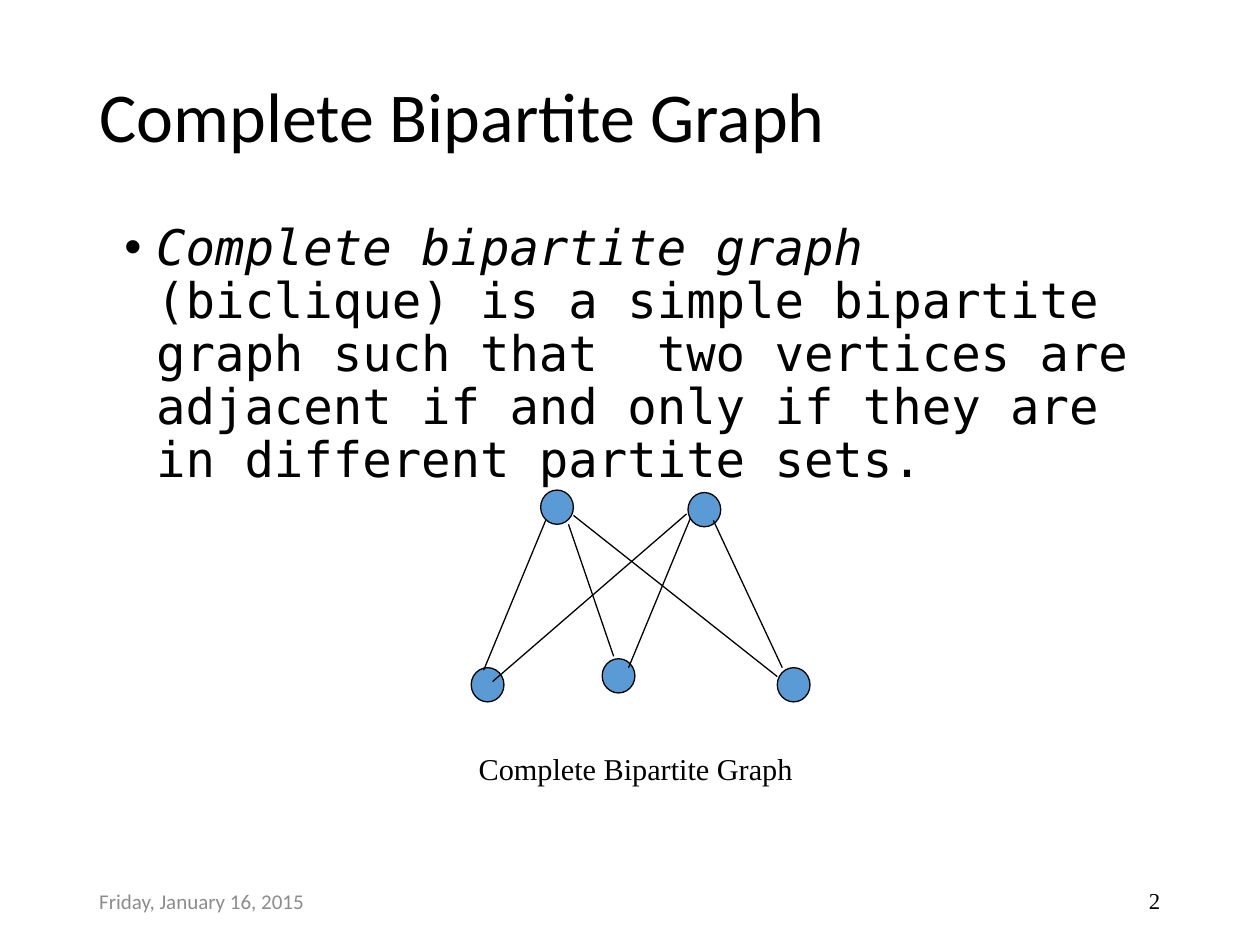
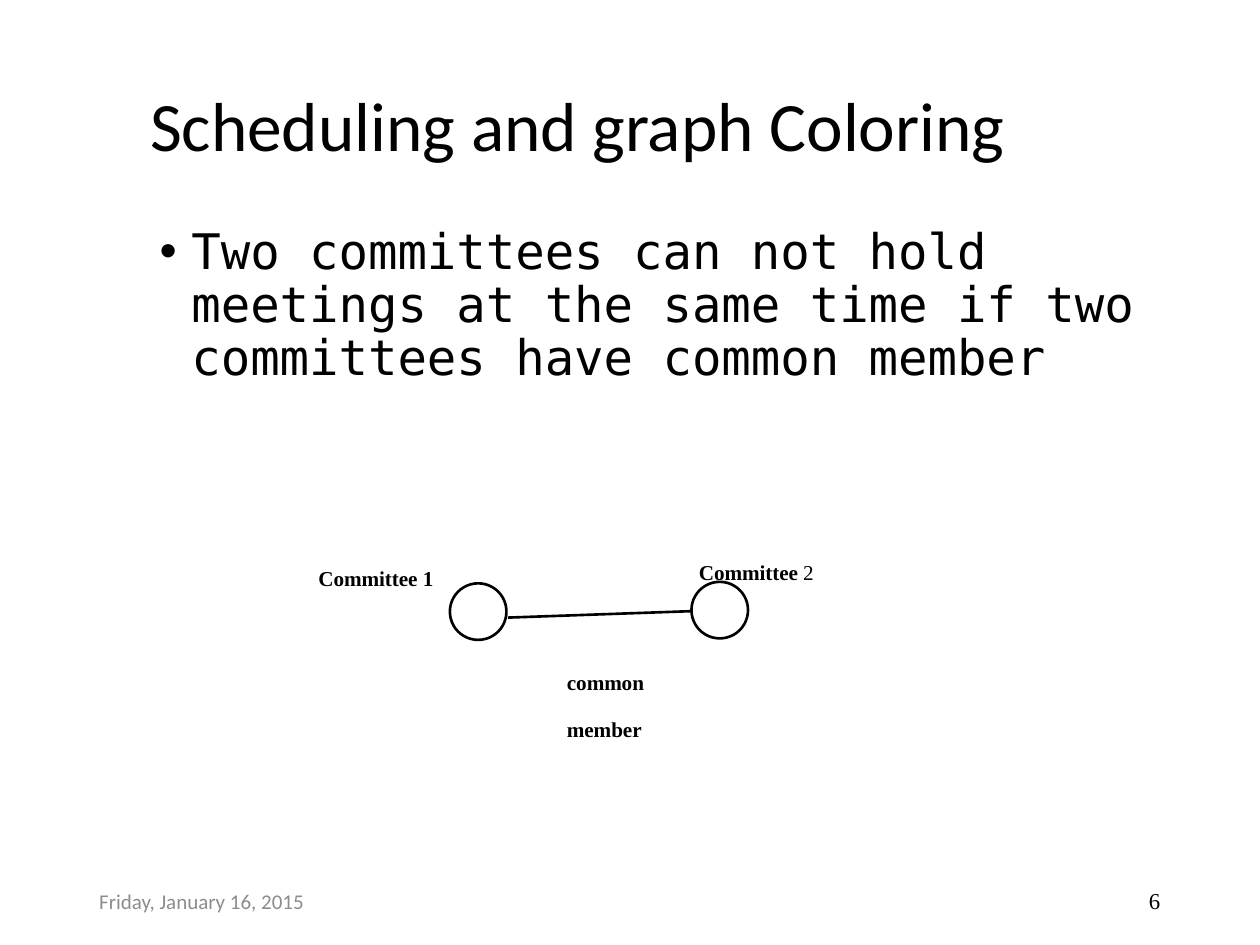
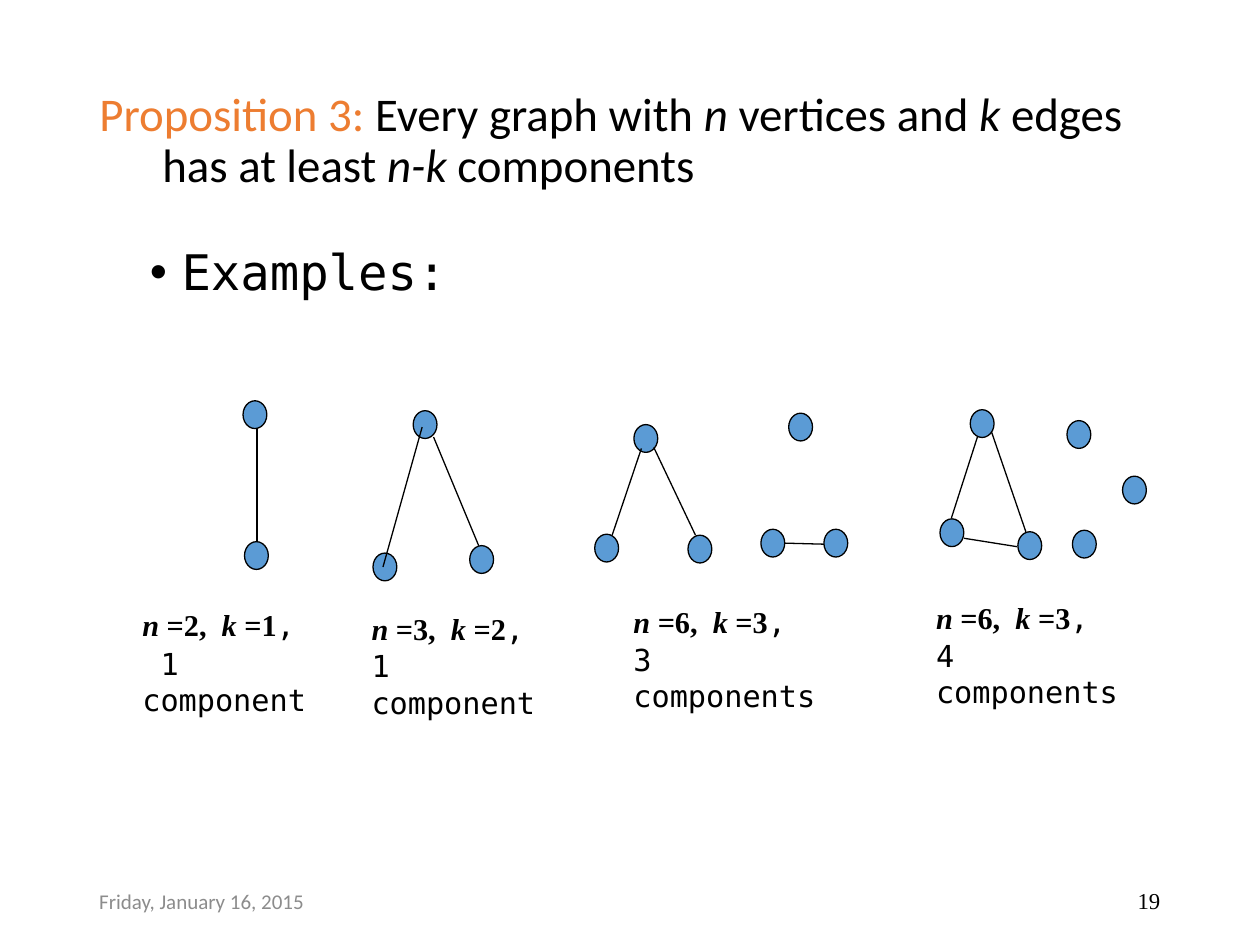
from pptx import Presentation
from pptx import util as u
from pptx.dml.color import RGBColor
from pptx.enum import shapes, text
from pptx.oxml import ns
from lxml import etree

# Shared look
BLACK = RGBColor(0x00, 0x00, 0x00)
GREY = RGBColor(0x8C, 0x8C, 0x8C)
BLUE = RGBColor(0x5B, 0x9B, 0xD5)
ORANGE = RGBColor(0xED, 0x7D, 0x31)
SANS, MONO, SERIF = "Calibri", "DejaVu Sans Mono", "Times New Roman"
DATE = "Friday, January 16, 2015"
ITALIC = {"italic": True}

TITLE = {"name": SANS, "size": 40}
BODY = {"name": MONO, "size": 28}
CAPTION = {"name": SERIF, "size": 17.3}
LABEL = {"name": SERIF, "size": 20.8, "bold": True, "baseline": -16}
COUNT = {"name": MONO, "size": 17.3}
FORMULA = {"name": SERIF, "size": 17.3, "bold": True}

# Content: boxes are (left, top, width, height), all places in inches.
# A run is (text, format changes); node places are top left corners.
SLIDES = [
    {
        "number": "2",
        "title": ((0.69, 0.54, 8.22, 0.82), [("Complete Bipartite Graph", {})]),
        "body": ((0.89, 1.72, 8.3, 2.24), "60%", [
            ("Complete bipartite graph", ITALIC),
            (" (biclique) is a simple bipartite graph such that  two vertices "
             "are adjacent if and only if they are in different partite sets.", {})]),
        "graphs": [{
            "size": (0.26, 0.27), "fill": BLUE, "weight": 0.75,
            "nodes": [(4.29, 3.89), (5.46, 3.91), (3.74, 5.3), (4.78, 5.23), (6.17, 5.3)],
            "edges": [(4.33, 4.13, 3.84, 5.32), (4.51, 4.16, 4.87, 5.21),
                      (4.55, 4.09, 6.17, 5.37), (5.45, 4.08, 3.91, 5.41),
                      (5.48, 4.11, 4.99, 5.3), (5.66, 4.13, 6.21, 5.3)]}],
        "labels": [((3.7, 5.9, 2.89, 0.39), CAPTION, [("Complete Bipartite Graph", {})])],
    },
    {
        "number": "6",
        "title": ((1.09, 0.51, 7.82, 1.03),
                  [("Scheduling and graph Coloring", {"size": 39.6})]),
        "body": ((1.17, 1.75, 8.01, 2.54), 10, [
            ("Two committees can not hold meetings at the same time if two "
             "committees have common member", {})]),
        "graphs": [{
            "size": (0.45, 0.45), "fill": None, "weight": 1.5,
            "nodes": [(3.57, 4.63), (5.49, 4.62)],
            "edges": [(4.03, 4.9, 5.49, 4.85)]}],
        "labels": [
            ((4.4, 5.1, 0.96, 0.57), LABEL, [("common member", {})]),
            ((2.43, 4.27, 1.45, 0.33), LABEL, [("Committee 1", {})]),
            ((5.45, 4.22, 1.76, 0.33), LABEL, [("Committee", {}), (" 2", {"bold": False})])],
    },
    {
        "number": "19",
        "title": ((0.69, 0.4, 8.62, 1.45), [
            ("Proposition 3: ", {"color": ORANGE}), ("Every graph with ", {}),
            ("n", ITALIC), (" vertices and ", {}), ("k", ITALIC),
            (" edges has at least ", {}), ("n-k ", ITALIC), ("components", {})]),
        "title_format": {"size": 26.8}, "title_indent": 0.5,
        "body": ((1.09, 1.92, 7.82, 0.61), 10, [("Examples:", {})]),
        "graphs": [{"size": (0.19, 0.22), "fill": BLUE, "weight": 0.75,
                    "nodes": nodes, "edges": edges} for nodes, edges in [
            ([(1.93, 3.18), (1.94, 4.3)],
             [(2.04, 3.4, 2.04, 4.3)]),
            ([(3.28, 3.26), (2.96, 4.39), (3.73, 4.33)],
             [(3.35, 3.39, 3.04, 4.5), (3.44, 3.47, 3.8, 4.33)]),
            ([(5.03, 3.37), (4.72, 4.24), (5.46, 4.25),
              (6.26, 3.28), (6.04, 4.2), (6.54, 4.2)],
             [(5.09, 3.56, 4.86, 4.25), (5.19, 3.55, 5.52, 4.25),
              (6.23, 4.31, 6.54, 4.32)]),
            ([(7.7, 3.25), (7.46, 4.12), (8.08, 4.22),
              (8.47, 3.34), (8.91, 3.78), (8.51, 4.21)],
             [(7.76, 3.46, 7.55, 4.11), (7.87, 3.43, 8.14, 4.22),
              (7.65, 4.27, 8.07, 4.34)])]],
        # box, n, k, component line, spacing before each line
        "examples": [
            ((1.03, 4.76, 1.73, 0.71), 2, 1, " 1 component", ("10%", "10%")),
            ((2.85, 4.79, 1.65, 0.69), 3, 2, "1 component", ("5%", "5%")),
            ((4.93, 4.74, 1.77, 0.69), 6, 3, "3 components", ("5%", "5%")),
            ((7.33, 4.71, 1.85, 0.69), 6, 3, "4 components", ("50%", "5%"))],
    },
]


def inch(value):
    return u.Cm(round(value * 2.54, 2))


def place(sp, box):
    for name, value in zip(("left", "top", "width", "height"), box):
        setattr(sp, name, inch(value))


def add_runs(p, runs, base):
    for words, changes in runs:
        fmt = {"color": BLACK, "bold": False, "italic": False, **base, **changes}
        r = p.add_run()
        r.text = words
        r.font.color.rgb = fmt.pop("color")
        r.font.size = u.Pt(fmt.pop("size"))
        if "baseline" in fmt:
            r.font._element.set("baseline", str(fmt.pop("baseline") * 1000))
        for name, value in fmt.items():
            setattr(r.font, name, value)


def space_before(p, amount):
    """Points as a number, or a share of the line as '50%'."""
    if not isinstance(amount, str):
        p.space_before = u.Pt(amount)
        return
    p.space_before = u.Pt(1)
    spacing = p._p.pPr.find(ns.qn("a:spcBef"))
    spacing.remove(spacing[0])
    share = etree.SubElement(spacing, ns.qn("a:spcPct"))
    share.set("val", str(int(amount[:-1]) * 1000))


def hang(p, depth, bullet=None):
    pPr = p._p.get_or_add_pPr()
    pPr.set("marL", str(inch(depth)))
    pPr.set("indent", str(-inch(depth)))
    if bullet:
        etree.SubElement(pPr, ns.qn("a:buFont")).set("typeface", "Arial")
        etree.SubElement(pPr, ns.qn("a:buChar")).set("char", bullet)


def add_text(s, box, lines, anchor=text.MSO_ANCHOR.TOP, align=text.PP_ALIGN.LEFT):
    """Each line is (runs, base format, space before)."""
    sp = s.shapes.add_textbox(*map(inch, box))
    tf = sp.text_frame
    tf.word_wrap, tf.vertical_anchor = True, anchor
    for i, (runs, base, before) in enumerate(lines):
        p = tf.add_paragraph() if i else tf.paragraphs[0]
        p.alignment = align
        space_before(p, before)
        add_runs(p, runs, base)
    return tf


def add_title(s, box, runs, changes, indent):
    sp = s.shapes.title
    place(sp, box)
    tf = sp.text_frame
    tf.auto_size, tf.vertical_anchor = text.MSO_AUTO_SIZE.NONE, text.MSO_ANCHOR.MIDDLE
    p = tf.paragraphs[0]
    p.alignment, p.line_spacing = text.PP_ALIGN.LEFT, 0.9
    hang(p, indent)
    add_runs(p, runs, {**TITLE, **changes})


def add_body(s, box, before, runs):
    p = add_text(s, box, [(runs, BODY, before)]).paragraphs[0]
    p.line_spacing = 0.9
    hang(p, 0.25, "\u2022")


def add_graph(s, graph):
    group = s.shapes.add_group_shape().shapes
    for node in graph["nodes"]:
        sp = group.add_shape(shapes.MSO_SHAPE.OVAL, *map(inch, node + graph["size"]))
        sp.shadow.inherit = False
        if graph["fill"] is None:
            sp.fill.background()
        else:
            sp.fill.solid()
            sp.fill.fore_color.rgb = graph["fill"]
        sp.line.color.rgb, sp.line.width = BLACK, u.Pt(graph["weight"])
    for edge in graph["edges"]:
        line = group.add_connector(shapes.MSO_CONNECTOR.STRAIGHT, *map(inch, edge))
        line.line.color.rgb, line.line.width = BLACK, u.Pt(graph["weight"])
        etree.SubElement(line._element.spPr, ns.qn("a:effectLst"))


def add_footer(s, number):
    middle = text.MSO_ANCHOR.MIDDLE
    add_text(s, (0.69, 6.95, 2.25, 0.4),
             [([(DATE, {})], {"name": SANS, "size": 12, "color": GREY}, 0)], middle)
    add_text(s, (7.06, 6.95, 2.25, 0.4),
             [([(number, {})], {"name": SERIF, "size": 13}, 0)],
             middle, text.PP_ALIGN.RIGHT)


# Build the slides
prs = Presentation()
prs.slide_width, prs.slide_height = u.Cm(25.4), u.Cm(19.05)
for content in SLIDES:
    s = prs.slides.add_slide(prs.slide_layouts[5])
    add_title(s, *content["title"], content.get("title_format", {}),
              content.get("title_indent", 0))
    add_body(s, *content["body"])
    for graph in content["graphs"]:
        add_graph(s, graph)
    for box, base, runs in content.get("labels", []):
        add_text(s, box, [(runs, base, "50%")])
    for box, n, k, components, (first, second) in content.get("examples", []):
        formula = [("n ", ITALIC), (f"={n},  ", {}), ("k ", ITALIC), (f"={k}", {}),
                   (",", {"name": MONO, "bold": False})]
        add_text(s, box, [(formula, FORMULA, first),
                          ([(components, {})], COUNT, second)])
    add_footer(s, content["number"])

prs.save("out.pptx")
